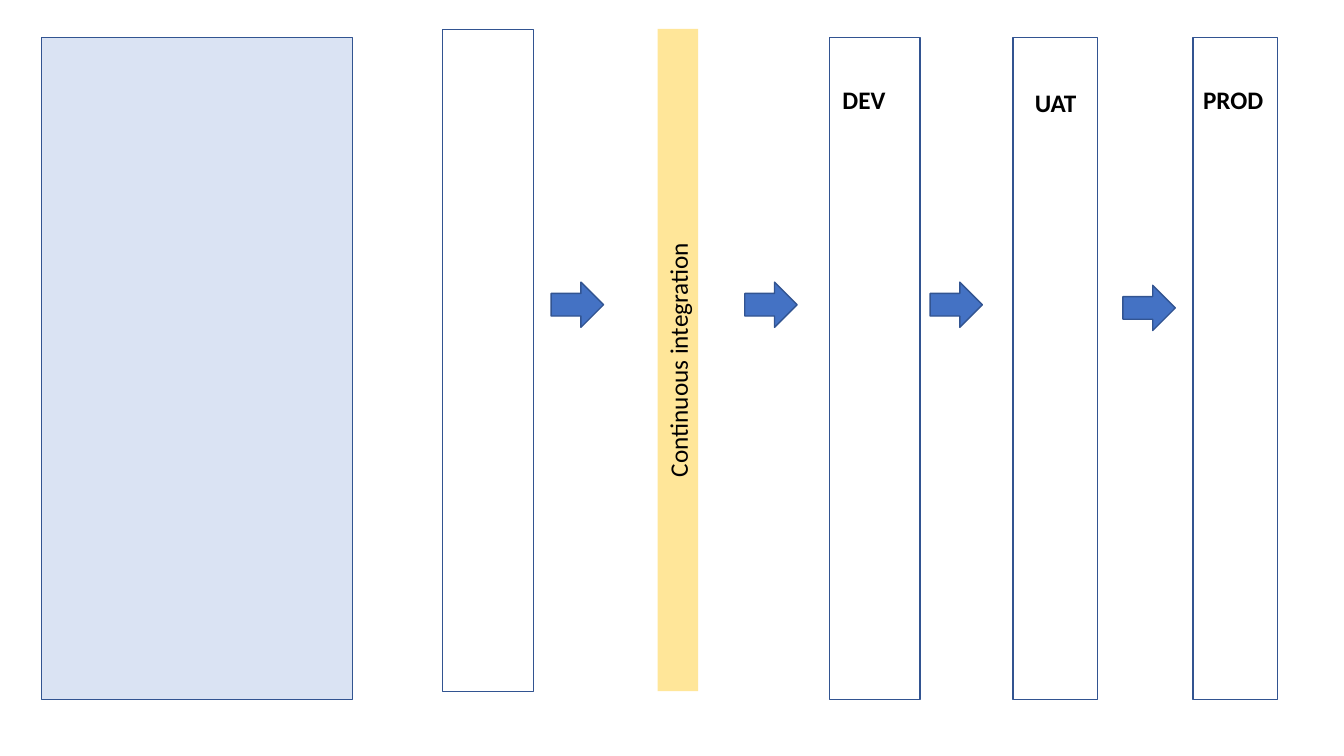
import pptx
import pptx.dml.color
import pptx.enum.shapes
import pptx.enum.text
import pptx.util
from dataclasses import dataclass

Cm = pptx.util.Cm
RGBColor = pptx.dml.color.RGBColor
Shapes = pptx.enum.shapes.MSO_SHAPE
Align = pptx.enum.text.PP_ALIGN
Anchor = pptx.enum.text.MSO_ANCHOR


@dataclass
class Theme:
    font: str = "Calibri"
    text_size: int = 18
    line_width: int = 1
    text: str = "000000"
    outline: str = "325491"
    panel: str = "DAE3F3"
    column: str = "FFFFFF"
    arrow: str = "4472C4"
    integration: str = "FFE699"


theme = Theme()
presentation = pptx.Presentation()
presentation.slide_width = Cm(33.87)
presentation.slide_height = Cm(19.05)
slide = presentation.slides.add_slide(presentation.slide_layouts[6])


def add_block(kind, left, top, width, height, fill, outline=theme.outline):
    shape = slide.shapes.add_shape(kind, Cm(left), Cm(top), Cm(width), Cm(height))
    shape.shadow.inherit = False
    shape.fill.solid()
    shape.fill.fore_color.rgb = RGBColor.from_string(fill)
    if outline:
        shape.line.color.rgb = RGBColor.from_string(outline)
        shape.line.width = pptx.util.Pt(theme.line_width)
    else:
        shape.line.fill.background()
    return shape


def write_text(shape, text, align, bold):
    text_frame = shape.text_frame
    text_frame.text = text
    text_frame.word_wrap = True
    text_frame.auto_size = pptx.enum.text.MSO_AUTO_SIZE.SHAPE_TO_FIT_TEXT
    paragraph = text_frame.paragraphs[0]
    paragraph.alignment = align
    font = paragraph.runs[0].font
    font.name = theme.font
    font.size = pptx.util.Pt(theme.text_size)
    font.bold = bold
    font.color.rgb = RGBColor.from_string(theme.text)


column_height = 16.69
upper_top, lower_top = 0.74, 0.94

for left, top, width, fill in [
    (1.04, lower_top, 7.85, theme.panel),
    (11.15, upper_top, 2.29, theme.column),
    (20.9, lower_top, 2.29, theme.column),
    (25.53, lower_top, 2.13, theme.column),
    (30.07, lower_top, 2.13, theme.column),
]:
    add_block(Shapes.RECTANGLE, left, top, width, column_height, fill)

for left, top in [(13.89, 7.11), (18.77, 7.11), (23.44, 7.11), (28.3, 7.19)]:
    add_block(Shapes.RIGHT_ARROW, left, top, 1.32, 1.14, theme.arrow)

for name, left, top, width in [
    ("DEV", 20.98, 2.01, 1.85),
    ("UAT", 25.83, 2.08, 1.65),
    ("PROD", 30.07, 2.01, 2.13),
]:
    label = slide.shapes.add_textbox(Cm(left), Cm(top), Cm(width), Cm(1.02))
    write_text(label, name, Align.LEFT, True)

integration_bar = add_block(
    Shapes.RECTANGLE, 8.74, 8.56, column_height, 1.02, theme.integration, None
)
integration_bar.rotation = 270
integration_bar.text_frame.vertical_anchor = Anchor.TOP
write_text(integration_bar, "Continuous integration", Align.CENTER, False)

presentation.save("out.pptx")
